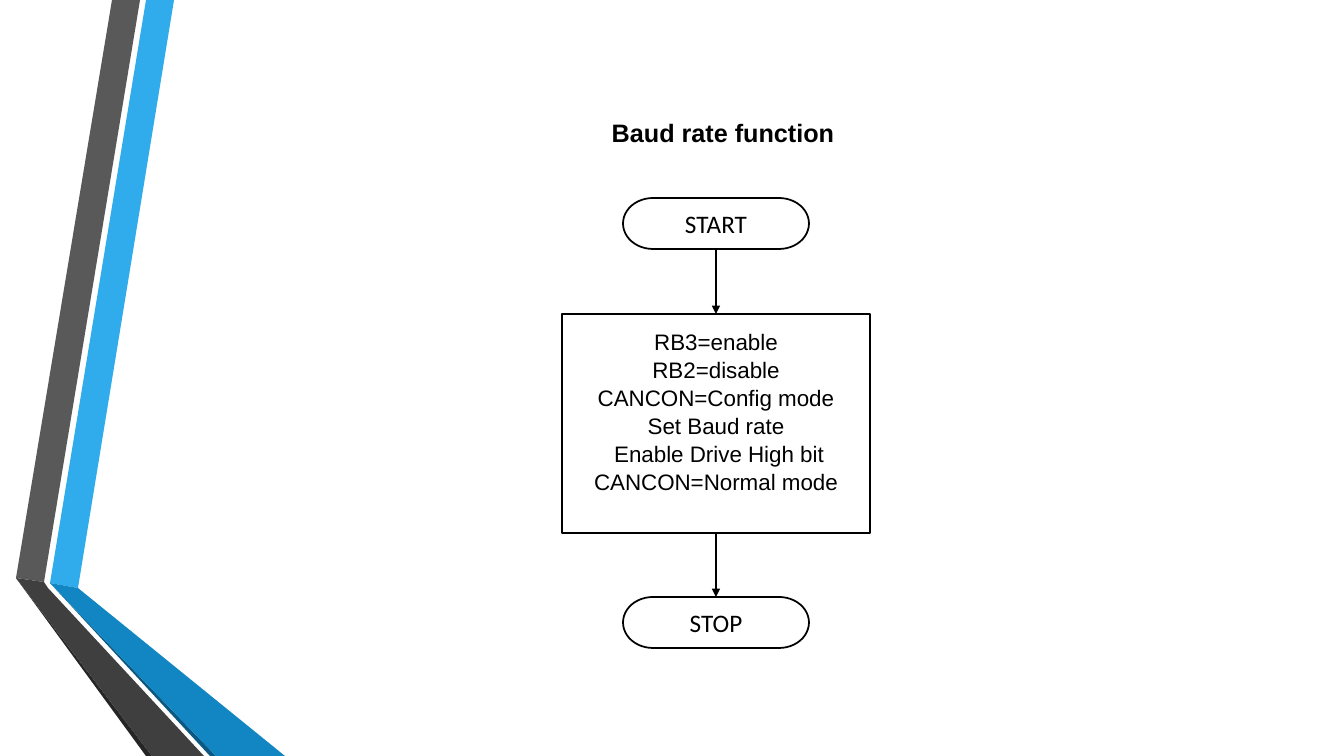
from pptx import Presentation
from pptx.dml.color import RGBColor
from pptx.enum.shapes import MSO_CONNECTOR, MSO_SHAPE
from pptx.enum.text import MSO_ANCHOR, PP_ALIGN
from pptx.oxml.ns import qn
from pptx.util import Pt
from lxml import etree

TERMINATOR = MSO_SHAPE.FLOWCHART_TERMINATOR
PROCESS = MSO_SHAPE.FLOWCHART_PROCESS
STRAIGHT = MSO_CONNECTOR.STRAIGHT
TOP, MIDDLE = MSO_ANCHOR.TOP, MSO_ANCHOR.MIDDLE
CENTER = PP_ALIGN.CENTER
BOTTOM_SITE, TOP_SITE = 2, 0

BLACK = RGBColor(0x00, 0x00, 0x00)
WHITE = RGBColor(0xFF, 0xFF, 0xFF)
LIGHT_BLUE = RGBColor(0x30, 0xAC, 0xEC)
BLUE = RGBColor(0x11, 0x86, 0xC3)
DARK_BLUE = RGBColor(0x0B, 0x59, 0x82)
GRAY = RGBColor(0x59, 0x59, 0x59)
DARK_GRAY = RGBColor(0x3F, 0x3F, 0x3F)
CHARCOAL = RGBColor(0x26, 0x26, 0x26)

# Content, lengths in px
EMU_PER_PX = 914400 / 100.8
SLIDE_SIZE = (1344, 756)
CENTER_X = 716

RIBBONS = [
    (LIGHT_BLUE, [(50, 583), (78, 588), (174, 0), (146, 0)]),
    (GRAY, [(140, 0), (112, 0), (16, 578), (44, 582)]),
    (CHARCOAL, [(16, 578), (146, 756), (152, 756)]),
    (DARK_BLUE, [(50, 583), (210, 756), (216, 756)]),
    (BLUE, [(50, 583), (216, 756), (285, 756), (78, 588)]),
    (DARK_GRAY, [(204, 756), (48, 588), (44, 582), (16, 578), (152, 756)]),
]

TITLE = "Baud rate function"
TITLE_BOX = (494, 112, 458, 40)

# kind, top, width, height, font, size, anchor, top inset, lines
STEPS = [
    (TERMINATOR, 198, 186, 51, "Calibri", 18, MIDDLE, 5, ["START"]),
    (PROCESS, 314, 308, 219, "Arial", 16, TOP, 13, [
        "RB3=enable",
        "RB2=disable",
        "CANCON=Config mode",
        "Set Baud rate",
        " Enable Drive High bit",
        "CANCON=Normal mode",
    ]),
    (TERMINATOR, 597, 186, 51, "Calibri", 18, MIDDLE, 5, ["STOP"]),
]


def px(length):
    return round(length * EMU_PER_PX)


def write_text(shape, lines, font_name, size, bold=False, spacing=1.0):
    frame = shape.text_frame
    frame.word_wrap = True
    frame.text = "\n".join(lines)
    for paragraph in frame.paragraphs:
        paragraph.alignment = CENTER
        paragraph.line_spacing = spacing
        font = paragraph.runs[0].font
        font.name, font.size, font.bold = font_name, Pt(size), bold
        font.color.rgb = BLACK
    return frame


def add_ribbon(shapes, color, points):
    builder = shapes.build_freeform(*points[0], scale=EMU_PER_PX)
    builder.add_line_segments(points[1:], close=True)
    ribbon = builder.convert_to_shape()
    ribbon.shadow.inherit = False
    ribbon.fill.solid()
    ribbon.fill.fore_color.rgb = color
    ribbon.line.fill.background()


def add_step(shapes, kind, top, width, height, font, size, anchor, inset, lines):
    left = CENTER_X - width / 2
    step = shapes.add_shape(kind, px(left), px(top), px(width), px(height))
    step.shadow.inherit = False
    step.fill.solid()
    step.fill.fore_color.rgb = WHITE
    step.line.color.rgb = BLACK
    step.line.width = Pt(1.25)
    spacing = 1.04 if len(lines) > 1 else 1.0
    frame = write_text(step, lines, font, size, spacing=spacing)
    frame.vertical_anchor = anchor
    frame.margin_top = px(inset)
    return step


def add_arrow(shapes, upper, lower):
    arrow = shapes.add_connector(STRAIGHT, 0, 0, 0, 0)
    arrow.begin_connect(upper, BOTTOM_SITE)
    arrow.end_connect(lower, TOP_SITE)
    arrow.line.color.rgb = BLACK
    arrow.line.width = Pt(1.25)
    line = arrow.line._get_or_add_ln()
    etree.SubElement(line, qn("a:tailEnd"), type="triangle")
    etree.SubElement(arrow._element.spPr, qn("a:effectLst"))


def main():
    presentation = Presentation()
    presentation.slide_width, presentation.slide_height = map(px, SLIDE_SIZE)
    slide = presentation.slides.add_slide(presentation.slide_layouts[6])
    shapes = slide.shapes

    # Ribbons at the left edge
    for color, points in RIBBONS:
        add_ribbon(shapes, color, points)

    # Flowchart
    steps = [add_step(shapes, *step) for step in STEPS]
    for upper, lower in zip(steps, steps[1:]):
        add_arrow(shapes, upper, lower)

    # Title
    title = shapes.add_textbox(*map(px, TITLE_BOX))
    write_text(title, [TITLE], "Arial", 18, bold=True)

    presentation.save("out.pptx")


if __name__ == "__main__":
    main()
